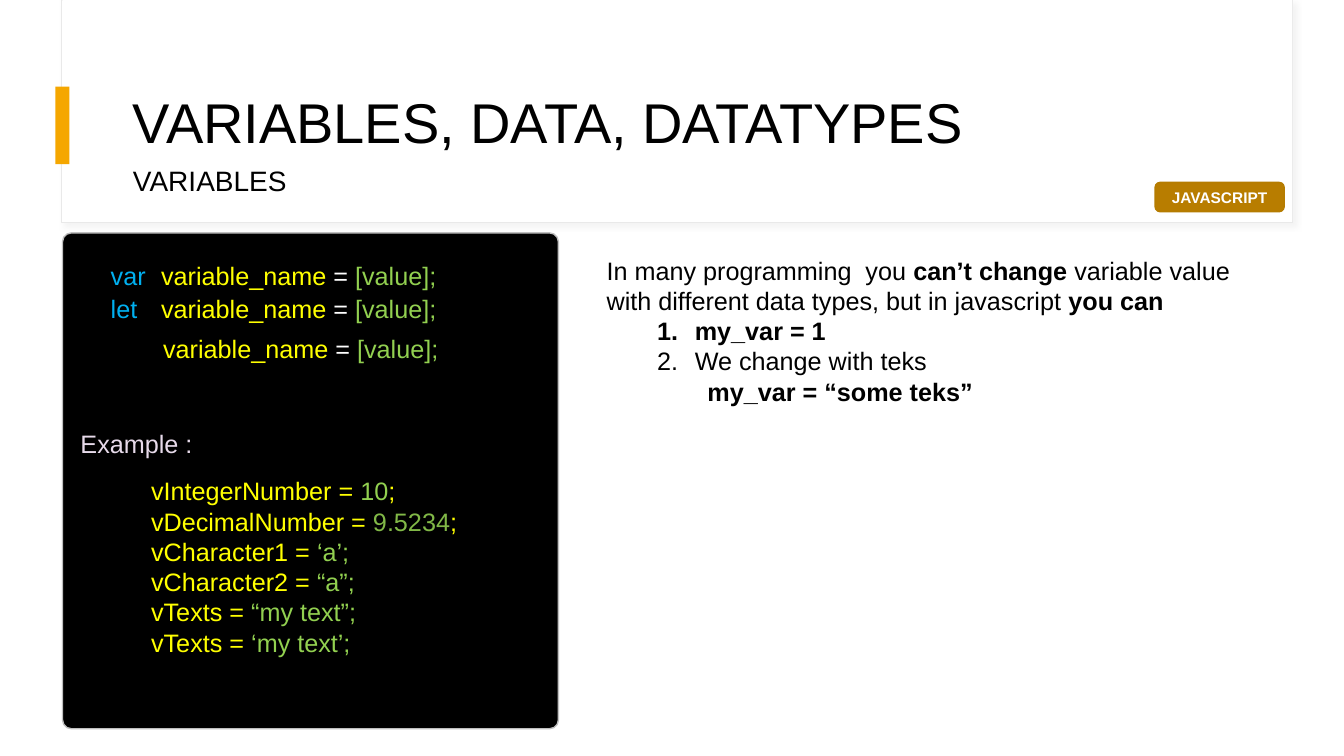
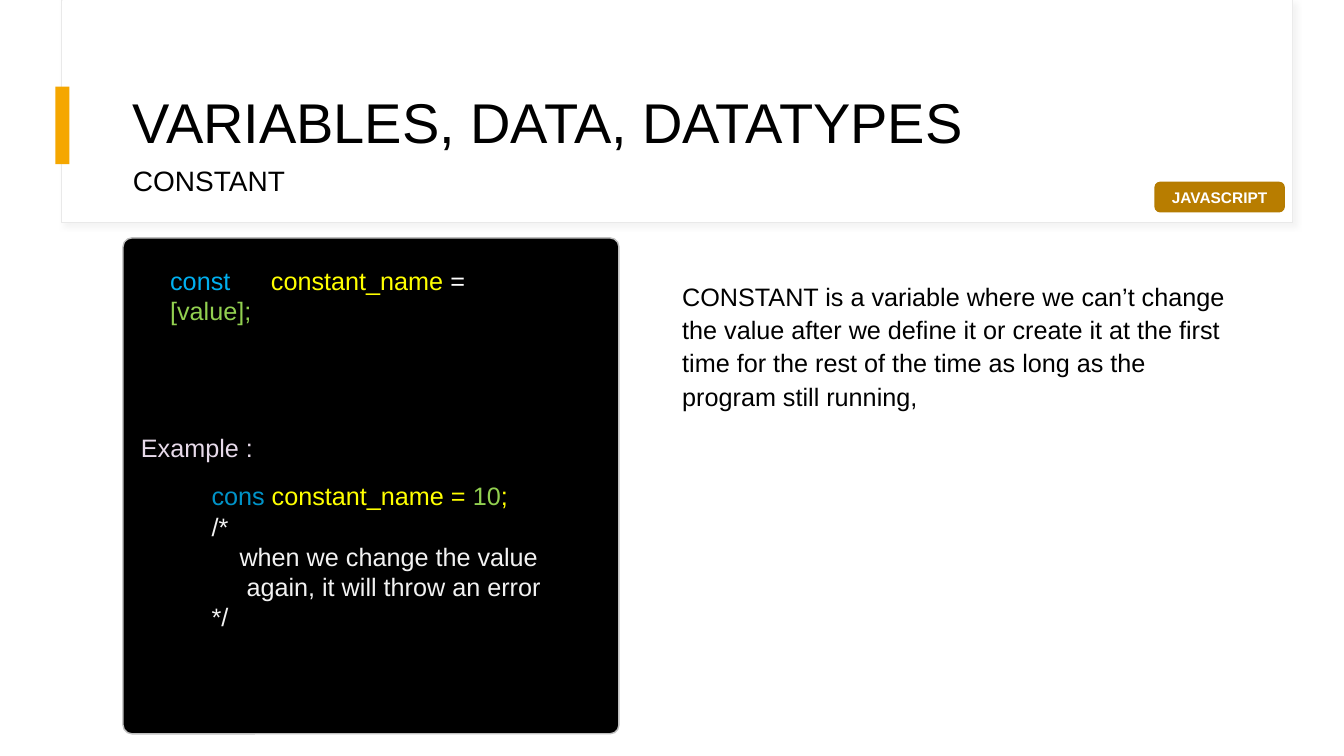
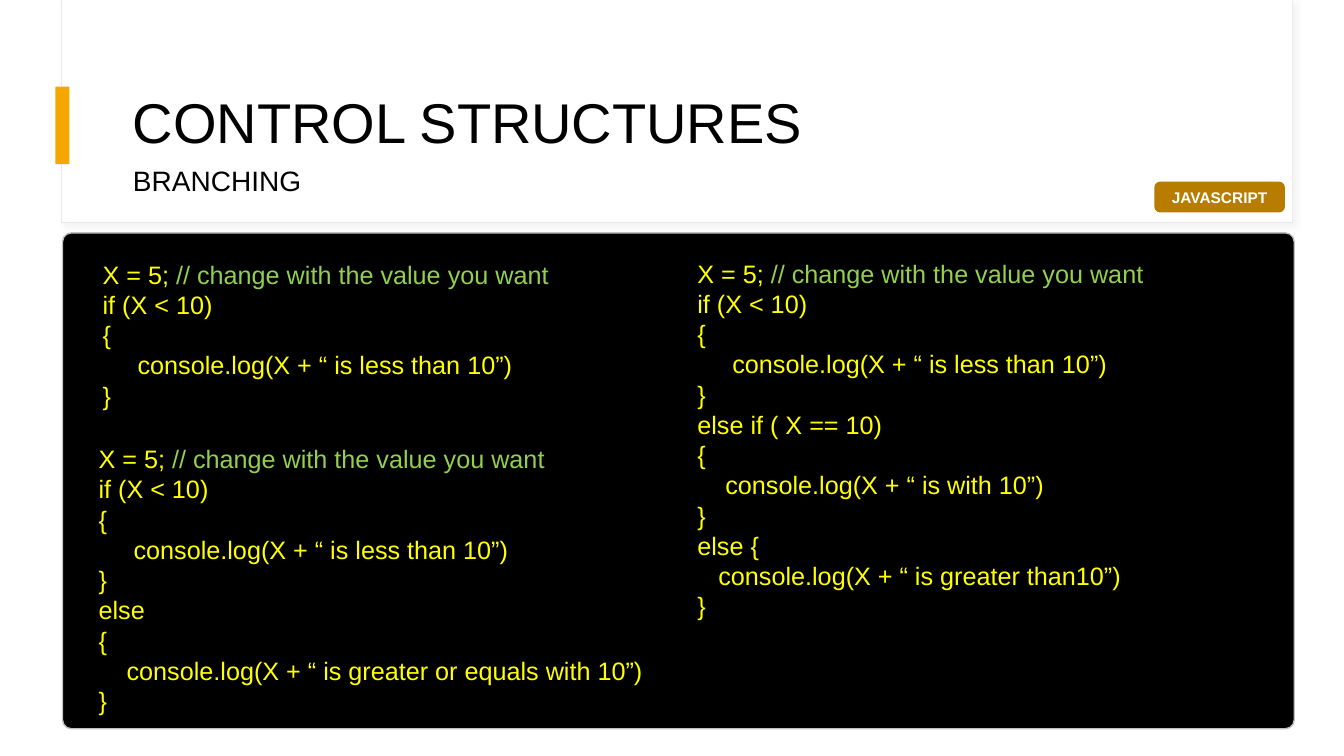
from dataclasses import dataclass

from lxml import etree
from pptx import Presentation
from pptx import util as u
from pptx.dml.color import RGBColor
from pptx.enum import shapes, text
from pptx.oxml import ns

# Shared style
FONT = "Arial"
BLACK, WHITE, PAPER = "000000", "FFFFFF", "F2F2F2"
AMBER, BADGE, BADGE_EDGE = "F5A700", "B87D00", "B57C00"
BAND_EDGE, BAND_SHADOW, CARD_EDGE = "E9E9E9", "D9D9D9", "BFBFBF"
BLUE, DARK_BLUE = "00B0F0", "0093C8"
YELLOW, GREEN, DARK_GREEN, LILAC = "FFFF00", "92D050", "81B847", "E7DAEA"
TITLE_LEFT, TITLE_WIDTH = 87.84, 800.64
CARD_SIZE, CARD_RADIUS = 354.24, 6.38
LABEL_HEIGHT = 28.8


@dataclass(frozen=True)
class Box:
    left: float
    top: float
    width: float
    height: float

    def lengths(self) -> list[u.Length]:
        return [u.Pt(n) for n in (self.left, self.top, self.width, self.height)]


@dataclass(frozen=True)
class Span:
    text: str
    colour: str = BLACK
    bold: bool = False


@dataclass(frozen=True)
class Line:
    spans: tuple[Span, ...]
    indent: float = 0
    hanging: float = 0
    numbered: bool = False
    tab: float = 0


def rgb(colour: str) -> RGBColor:
    return RGBColor.from_string(colour)


def add_node(parent, tag: str, **attributes):
    return etree.SubElement(parent, ns.qn(tag), attributes)


def line(words: str, colour: str = BLACK, bold: bool = False, **layout) -> Line:
    return Line((Span(words, colour, bold),), **layout)


def code(words: str, indent: float = 0) -> Line:
    return line(words, YELLOW, indent=indent)


# Drawing functions
def write_text(frame, lines: list[Line], *, size: float = 18, spacing: float = 1,
               before: float = 0, align=text.PP_ALIGN.LEFT,
               anchor=text.MSO_ANCHOR.TOP) -> None:
    frame.word_wrap = True
    frame.vertical_anchor = anchor
    for index, item in enumerate(lines):
        para = frame.add_paragraph() if index else frame.paragraphs[0]
        para.alignment, para.line_spacing = align, spacing
        para.space_before = u.Pt(before)
        settings = para._p.get_or_add_pPr()
        settings.set("marL", str(u.Pt(item.indent)))
        settings.set("indent", str(u.Pt(-item.hanging)))
        if item.numbered:
            add_node(settings, "a:buFont", typeface="+mj-lt")
            add_node(settings, "a:buAutoNum", type="arabicPeriod")
        if item.tab:
            stops = add_node(settings, "a:tabLst")
            add_node(stops, "a:tab", pos=str(u.Pt(item.tab)), algn="l")
        for span in item.spans:
            run = para.add_run()
            run.text = span.text
            run.font.name, run.font.size = FONT, u.Pt(size)
            run.font.bold = span.bold
            run.font.color.rgb = rgb(span.colour)


def add_text(page, box: Box, lines: list[Line], **text_format) -> None:
    write_text(page.shapes.add_textbox(*box.lengths()).text_frame, lines, **text_format)


def add_panel(page, box: Box, fill: str, *, edge: str = "", weight: float = 1,
              radius: float = 0):
    kind = shapes.MSO_SHAPE.ROUNDED_RECTANGLE if radius else shapes.MSO_SHAPE.RECTANGLE
    panel = page.shapes.add_shape(kind, *box.lengths())
    panel.shadow.inherit = False
    panel.fill.solid()
    panel.fill.fore_color.rgb = rgb(fill)
    if radius:
        panel.adjustments[0] = radius / min(box.width, box.height)
    if edge:
        panel.line.color.rgb = rgb(edge)
        panel.line.width = u.Pt(weight)
    else:
        panel.line.fill.background()
    return panel


def add_soft_shadow(panel) -> None:
    effects = panel._element.spPr.find(ns.qn("a:effectLst"))
    shadow = add_node(effects, "a:outerShdw", blurRad=str(u.Pt(4)), dist=str(u.Pt(3)),
                      dir="2700000", algn="tl", rotWithShape="0")
    tint = add_node(shadow, "a:srgbClr", val=BAND_SHADOW)
    add_node(tint, "a:alpha", val="30000")


def add_card(page, left: float, top: float, width: float = CARD_SIZE) -> None:
    add_panel(page, Box(left, top, width, CARD_SIZE), BLACK, edge=CARD_EDGE,
              radius=CARD_RADIUS)


def add_page(deck, title: str, subtitle: str):
    page = deck.slides.add_slide(deck.slide_layouts[6])
    page.background.fill.solid()
    page.background.fill.fore_color.rgb = rgb(WHITE)
    # Header band and accent
    add_soft_shadow(add_panel(page, Box(43.92, 0, 879.12, 159.12), WHITE,
                              edge=BAND_EDGE, weight=0.75))
    add_panel(page, Box(44.64, 0, 878.4, 158.4), WHITE)
    add_panel(page, Box(39.6, 61.92, 10.08, 55.44), AMBER)
    # Title, subtitle and language badge
    middle = text.MSO_ANCHOR.MIDDLE
    add_text(page, Box(TITLE_LEFT, 43.2, TITLE_WIDTH, 92.88), [line(title)],
             size=40, spacing=0.9, anchor=middle)
    add_text(page, Box(TITLE_LEFT, 116.64, TITLE_WIDTH, 28.08), [line(subtitle)],
             size=20, spacing=0.8, anchor=middle)
    badge = add_panel(page, Box(825.12, 130.32, 92.16, 20.88), BADGE,
                      edge=BADGE_EDGE, radius=3.48)
    write_text(badge.text_frame, [line("JAVASCRIPT", WHITE, True)], size=11,
               align=text.PP_ALIGN.CENTER, anchor=middle)
    return page


def syntax(keyword: str, name: str, tab: float = 0) -> Line:
    lead = (Span(keyword + "\t", BLUE),) if keyword else ()
    return Line(lead + (Span(name + " ", YELLOW), Span("= ", WHITE),
                        Span("[value];", GREEN)), tab=tab)


def assignment(name: str, value: str, end: str = "", colour: str = GREEN) -> Line:
    return Line((Span(name + " = ", YELLOW), Span(value, colour), Span(end, YELLOW)))


deck = Presentation()
deck.slide_width, deck.slide_height = u.Pt(960), u.Pt(540)

# Variables
page = add_page(deck, "VARIABLES, DATA, DATATYPES", "VARIABLES")
add_card(page, 44.64, 166.32)
for left, top, declaration in (
    (72, 182.16, syntax("var", "variable_name", 35)),
    (72, 205.92, syntax("let", "variable_name", 34)),
    (109.44, 234.72, syntax("", "variable_name")),
):
    add_text(page, Box(left, top, 273.6, LABEL_HEIGHT), [declaration])
add_text(page, Box(50.4, 302.4, 100.08, LABEL_HEIGHT), [line("Example :", LILAC)])
add_text(page, Box(100.8, 336.24, 251.28, 138.24), [
    assignment("vIntegerNumber", "10", ";"),
    assignment("vDecimalNumber", "9.5234", ";", DARK_GREEN),
    assignment("vCharacter1", "‘a’;"),
    assignment("vCharacter2", "“a”;"),
    assignment("vTexts", "“my text”;"),
    assignment("vTexts", "‘my text’;"),
])
step = {"indent": 63, "hanging": 27, "numbered": True}
add_text(page, Box(426.24, 178.56, 480.24, 116.64), [
    Line((Span("In many programming  you "), Span("can’t change ", bold=True),
          Span("variable value with different data types, but in javascript "),
          Span("you can", bold=True))),
    line("my_var = 1", bold=True, **step),
    line("We change with teks", **step),
    line("my_var = “some teks”", bold=True, indent=72),
])

# Constant
page = add_page(deck, "VARIABLES, DATA, DATATYPES", "CONSTANT")
add_text(page, Box(480.24, 195.12, 408.24, 110.16), [line(
    "CONSTANT is a variable where we can’t change the value after we define it or "
    "create it at the first time for the rest of the time as long as the program "
    "still running,")], spacing=1.1, before=10)
add_card(page, TITLE_LEFT, 169.92)
add_text(page, Box(114.48, 185.76, 276.48, LABEL_HEIGHT),
         [syntax("const", "constant_name", 53)])
add_text(page, Box(93.6, 305.28, 100.08, LABEL_HEIGHT), [line("Example :", LILAC)])
add_text(page, Box(144, 339.84, 280.08, 116.64), [
    Line((Span("cons", DARK_BLUE),) + assignment(" constant_name", "10", ";").spans),
    line("/*", PAPER),
    line("when we change the value", PAPER, indent=20),
    line("again, it will throw an error", PAPER, indent=25),
    line("*/", PAPER),
])

# Branching
page = add_page(deck, "CONTROL STRUCTURES", "BRANCHING")
add_card(page, 44.64, 166.32, 879.84)
if_block = [
    Line((Span("X = 5; ", YELLOW), Span("// change with the value you want", GREEN))),
    code("if (X < 10)"), code("{"),
    code("console.log(X + “ is less than 10”)", 25), code("}"),
]
else_block = [
    code("else"), code("{"),
    code("console.log(X + “ is greater or equals with 10”)", 20), code("}"),
]
else_if_block = [
    code("else if ( X == 10)"), code("{"),
    code("console.log(X + “ is with 10”)", 20), code("}"),
    code("else {"), code("console.log(X + “ is greater than10”)", 15), code("}"),
]
for box, lines in (
    (Box(66.24, 181.44, 365.04, 116.64), if_block),
    (Box(63.36, 313.2, 427.68, 203.76), if_block + else_block),
    (Box(491.04, 180.72, 427.68, 269.28), if_block + else_if_block),
):
    add_text(page, box, lines)

deck.save("out.pptx")
